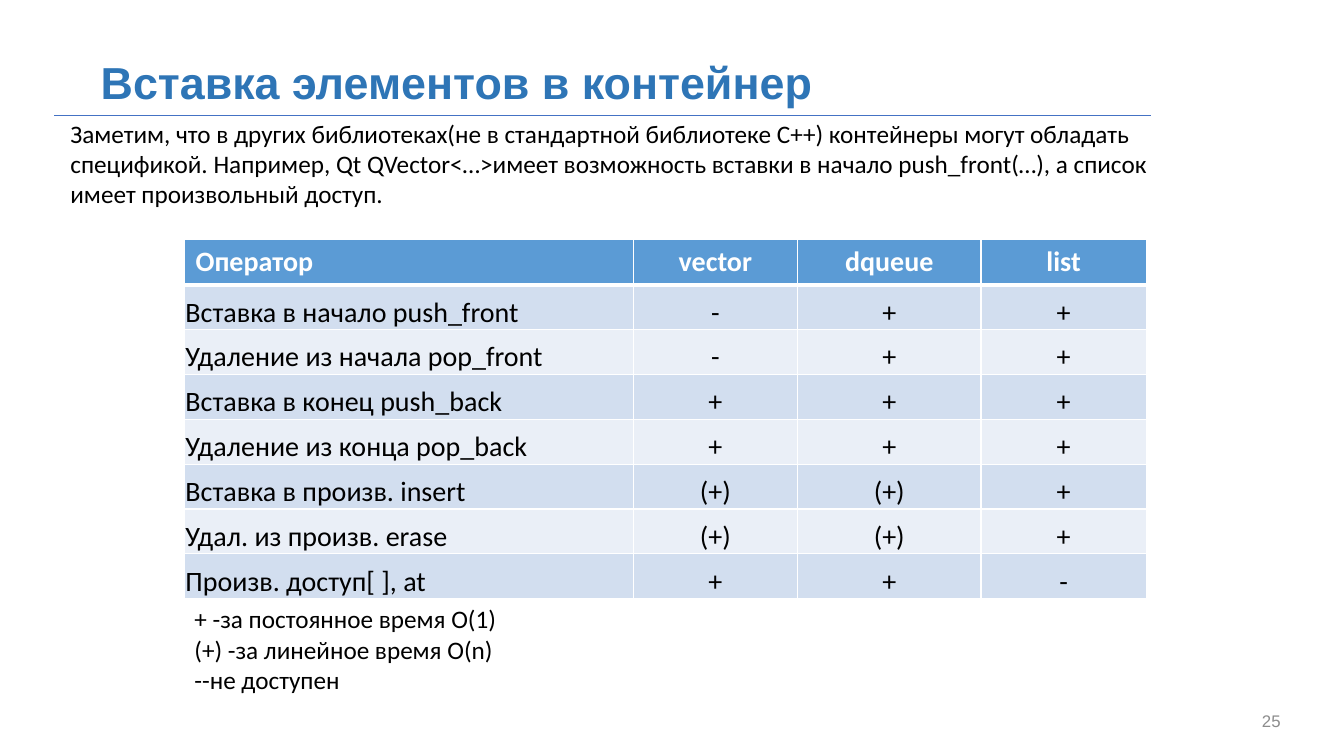
from lxml import etree
from pptx import Presentation
from pptx import util as u
from pptx.dml.color import RGBColor
from pptx.enum import shapes, text
from pptx.oxml import ns

HEADER = ["Оператор", "vector", "dqueue", "list"]
OPERATIONS = [
    ["Вставка в начало push_front", "-", "+", "+"],
    ["Удаление из начала pop_front", "-", "+", "+"],
    ["Вставка в конец push_back", "+", "+", "+"],
    ["Удаление из конца pop_back", "+", "+", "+"],
    ["Вставка в произв. insert", "(+)", "(+)", "+"],
    ["Удал. из произв. erase", "(+)", "(+)", "+"],
    ["Произв. доступ[ ], at", "+", "+", "-"],
]
COLUMN_WIDTHS = [4.45, 1.63, 1.82, 1.64]
TABLE_HEIGHT = 3.56
NOTE = ("Заметим, что в других библиотеках(не в стандартной библиотеке C++) "
        "контейнеры могут обладать спецификой. Например, Qt QVector<…>имеет "
        "возможность вставки в начало push_front(…), а список имеет "
        "произвольный доступ.")
LEGEND = ["+ -за постоянное время O(1)", "(+) -за линейное время O(n)",
          "--не доступен"]


def color(value):
    """Return the colour for a hex string."""
    return RGBColor.from_string(value)


def write(tf, *lines, size=18, font="Calibri", fill="000000", bold=False,
          align=text.PP_ALIGN.LEFT):
    """Write each line as a formatted paragraph of a text frame."""
    for i, line in enumerate(lines):
        p = tf.add_paragraph() if i else tf.paragraphs[0]
        p.alignment = align
        r = p.add_run()
        r.text = line
        r.font.size = u.Pt(size)
        r.font.name = font
        r.font.bold = bold
        r.font.color.rgb = color(fill)


def add_text(s, box, *lines, anchor=text.MSO_ANCHOR.TOP, **fmt):
    """Add a wrapping text box."""
    tf = s.shapes.add_textbox(*map(u.Inches, box)).text_frame
    tf.word_wrap = True
    tf.vertical_anchor = anchor
    write(tf, *lines, **fmt)


def add_rule(s, left, right, y):
    """Add the thin line below the title."""
    sp = s.shapes.add_connector(shapes.MSO_CONNECTOR.STRAIGHT, u.Inches(left),
                                u.Inches(y), u.Inches(right), u.Inches(y))
    sp.line.color.rgb = color("4472C4")
    sp.line.width = u.Pt(0.5)
    etree.SubElement(sp._element.spPr, ns.qn("a:effectLst"))


def set_borders(cell, widths):
    """Give a cell white borders, with widths in points keyed by side."""
    tc_pr = cell._tc.get_or_add_tcPr()
    for i, (side, width) in enumerate(widths.items()):
        ln = etree.Element(ns.qn(f"a:ln{side}"), w=str(u.Pt(width)))
        fill = etree.SubElement(ln, ns.qn("a:solidFill"))
        etree.SubElement(fill, ns.qn("a:srgbClr"), val="FFFFFF")
        tc_pr.insert(i, ln)


def fill_cell(cell, value, row, col):
    """Format one cell as a header cell or as a banded body cell."""
    header = row == 0
    margins = (0.11, 0.05, 0.11, 0.05) if header else (0.01, 0.01, 0.01, 0)
    (cell.margin_left, cell.margin_top,
     cell.margin_right, cell.margin_bottom) = map(u.Inches, margins)
    cell.vertical_anchor = (text.MSO_ANCHOR.TOP if header
                            else text.MSO_ANCHOR.BOTTOM)
    band = "D2DEEF" if row % 2 else "EAEFF7"
    cell.fill.solid()
    cell.fill.fore_color.rgb = color("5B9BD5" if header else band)
    set_borders(cell, {"L": 1, "R": 1, "T": 3 if row == 1 else 1,
                       "B": 3 if header else 1})
    write(cell.text_frame, value, size=20, bold=header,
          fill="FFFFFF" if header else "000000",
          align=text.PP_ALIGN.CENTER if col else text.PP_ALIGN.LEFT)


def add_operations_table(s, left, top):
    """Add the table of container operations."""
    rows = [HEADER, *OPERATIONS]
    table = s.shapes.add_table(
        len(rows), len(HEADER), u.Inches(left), u.Inches(top),
        u.Inches(sum(COLUMN_WIDTHS)), u.Inches(TABLE_HEIGHT)).table
    for column, width in zip(table.columns, COLUMN_WIDTHS):
        column.width = u.Inches(width)
    for row, values in enumerate(rows):
        for col, value in enumerate(values):
            fill_cell(table.cell(row, col), value, row, col)


def main():
    """Build the slide and save it."""
    prs = Presentation()
    prs.slide_width, prs.slide_height = u.Inches(13.33), u.Inches(7.5)
    s = prs.slides.add_slide(prs.slide_layouts[6])
    add_text(s, (0.9, 0.53, 8.45, 0.55), "Вставка элементов в контейнер",
             anchor=text.MSO_ANCHOR.MIDDLE, size=32, font="Arial",
             fill="2E75B6", bold=True)
    add_rule(s, 0.54, 11.42, 1.14)
    add_text(s, (11.5, 6.95, 1.3, 0.4), "25", anchor=text.MSO_ANCHOR.MIDDLE,
             size=12, font="Arial", fill="8C8C8C", align=text.PP_ALIGN.RIGHT)
    add_text(s, (0.6, 1.12, 11.34, 1.01), NOTE)
    add_operations_table(s, 1.83, 2.38)
    add_text(s, (1.83, 5.94, 5, 1.01), *LEGEND)
    prs.save("out.pptx")


if __name__ == "__main__":
    main()
